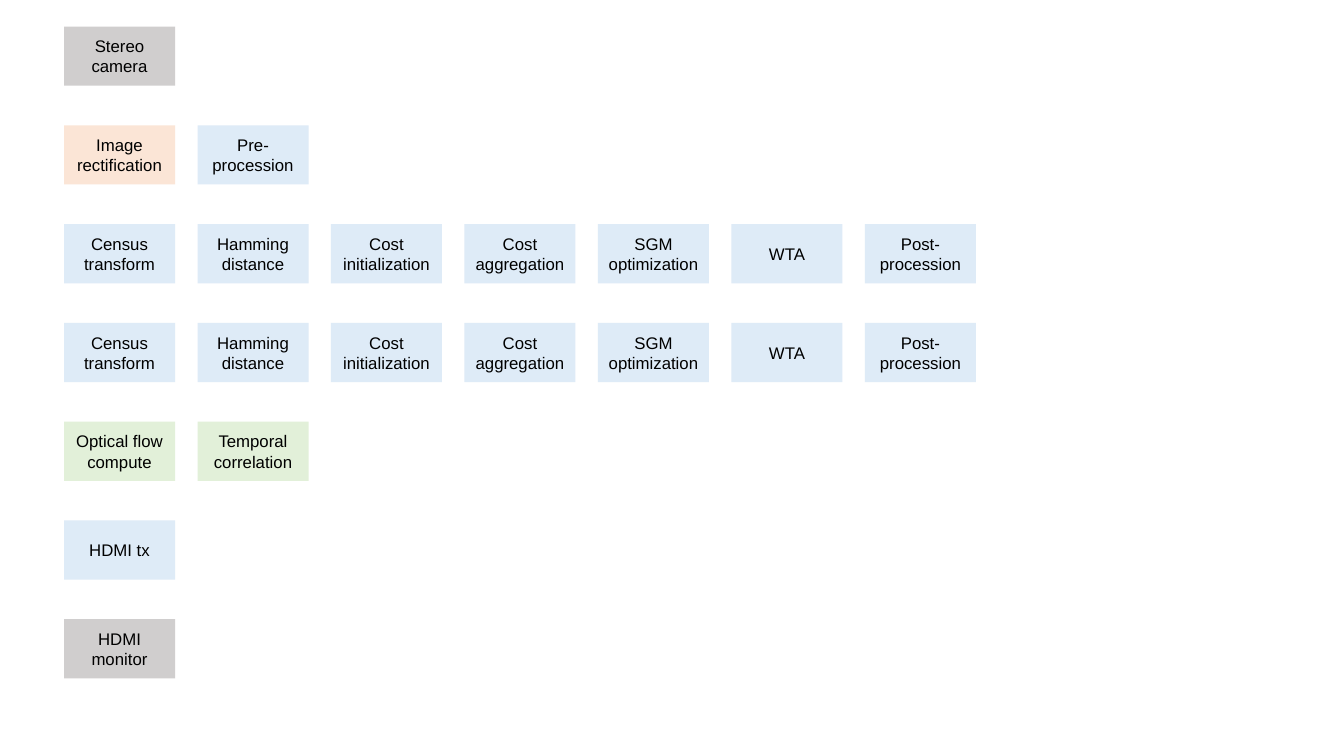
from pptx import Presentation
from pptx.dml.color import RGBColor
from pptx.enum import shapes, text
from pptx.util import Pt

GREY, PEACH, BLUE, GREEN = "D0CECE", "FBE5D6", "DEEBF7", "E2F0D9"

MATCHING = [
    ("Census\ntransform", BLUE),
    ("Hamming\ndistance", BLUE),
    ("Cost\ninitialization", BLUE),
    ("Cost\naggregation", BLUE),
    ("SGM\noptimization", BLUE),
    ("WTA", BLUE),
    ("Post-procession", BLUE),
]
STAGES = [
    [("Stereo\ncamera", GREY)],
    [("Image\nrectification", PEACH), ("Pre-procession", BLUE)],
    MATCHING,
    MATCHING,
    [("Optical flow\ncompute", GREEN), ("Temporal\ncorrelation", GREEN)],
    [("HDMI tx", BLUE)],
    [("HDMI\nmonitor", GREY)],
]

LEFT, TOP = 45.75, 19
STEP_X, STEP_Y = 95.35, 70.55
WIDTH, HEIGHT = 79.3, 42.3


def colour(code):
    return RGBColor.from_string(code)


class Diagram:
    font = "Arial"
    size = 12
    ink = "000000"
    inset = 3.6

    def __init__(self, page):
        self.page = page

    def block(self, label, fill, left, top):
        box = self.page.shapes.add_shape(
            shapes.MSO_SHAPE.RECTANGLE, Pt(left), Pt(top), Pt(WIDTH), Pt(HEIGHT))
        box.shadow.inherit = False
        box.fill.solid()
        box.fill.fore_color.rgb = colour(fill)
        box.line.fill.background()
        frame = box.text_frame
        frame.word_wrap = True
        frame.vertical_anchor = text.MSO_ANCHOR.MIDDLE
        frame.margin_left = frame.margin_right = Pt(self.inset)
        para = frame.paragraphs[0]
        para.alignment = text.PP_ALIGN.CENTER
        for number, line in enumerate(label.split("\n")):
            if number:
                para.add_line_break()
            self.span(para, line)

    def span(self, para, words):
        span = para.add_run()
        span.text = words
        span.font.name = self.font
        span.font.size = Pt(self.size)
        span.font.color.rgb = colour(self.ink)


def main():
    deck = Presentation()
    deck.slide_width, deck.slide_height = Pt(960), Pt(540)
    diagram = Diagram(deck.slides.add_slide(deck.slide_layouts[6]))
    for row, stage in enumerate(STAGES):
        for column, (label, fill) in enumerate(stage):
            diagram.block(label, fill, LEFT + column * STEP_X, TOP + row * STEP_Y)
    deck.save("out.pptx")


if __name__ == "__main__":
    main()
